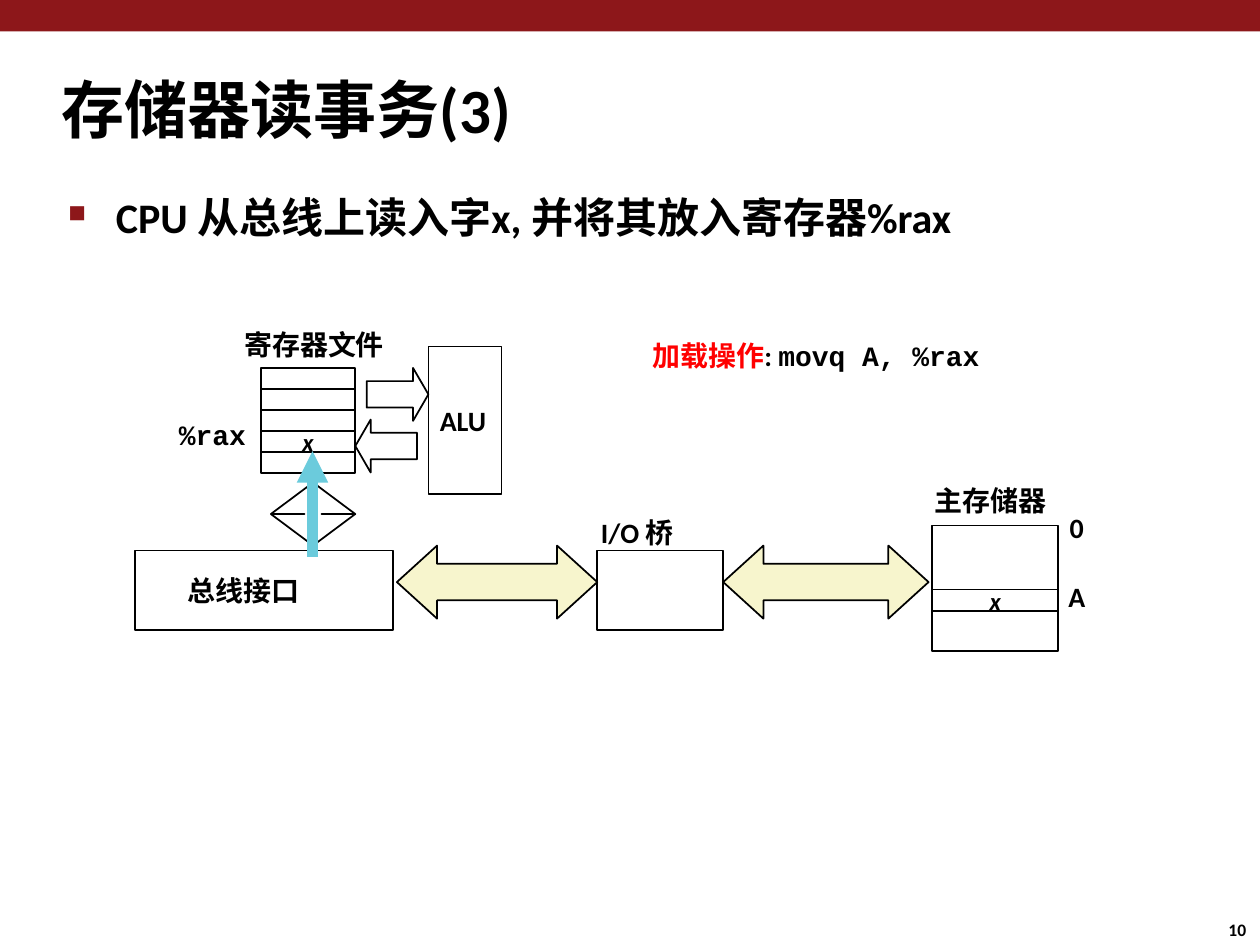
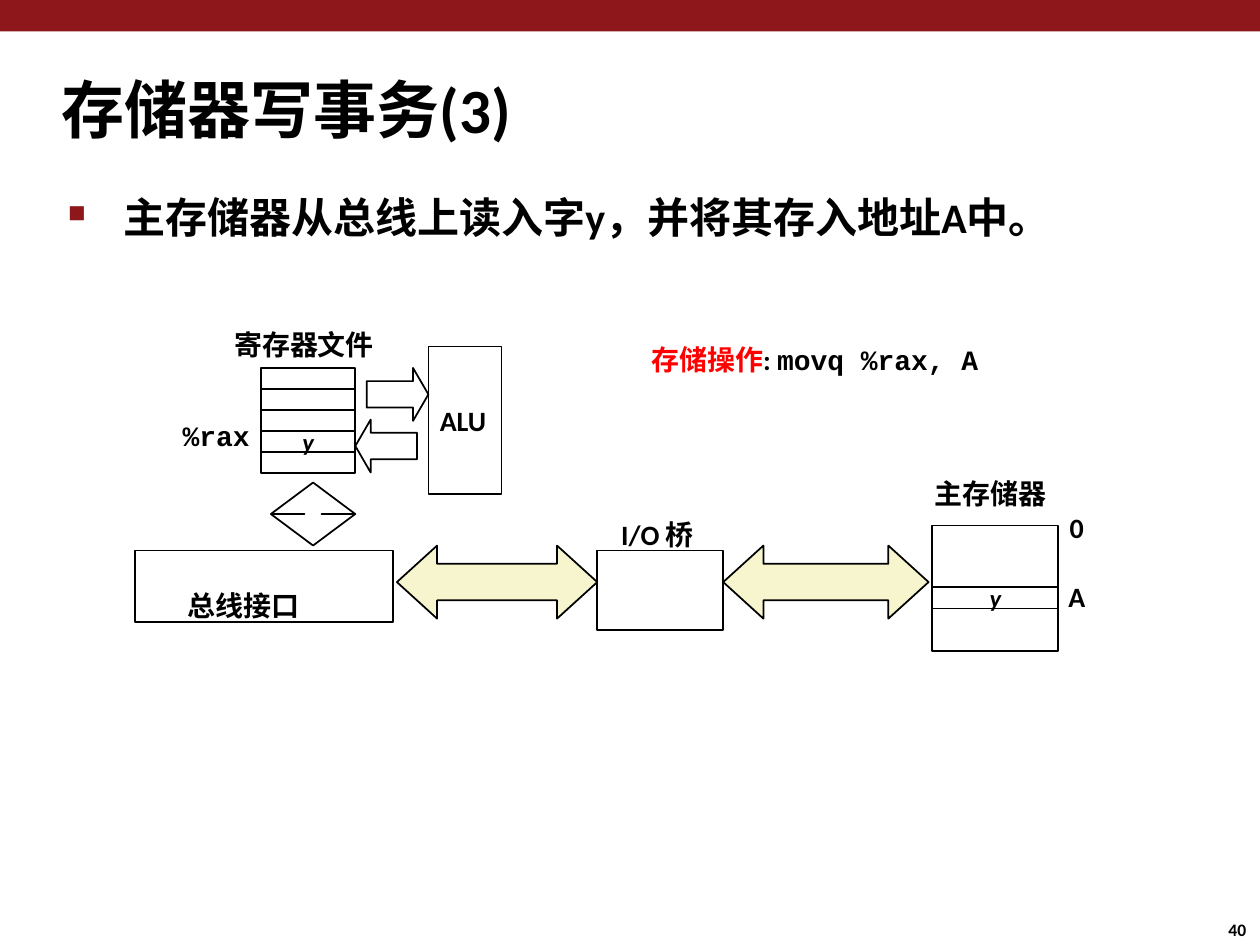
from pptx import Presentation
from pptx.dml.color import RGBColor
from pptx.enum.shapes import MSO_CONNECTOR, MSO_SHAPE
from pptx.enum.text import MSO_ANCHOR, PP_ALIGN
from pptx.oxml.ns import qn
from pptx.util import Inches, Pt
from lxml import etree

COLORS = {"band": "8D171A", "ink": "000000", "bus": "F7F5CD",
          "flow": "6BCBDC", "operation": "FF0000"}
BODY_FONT = "Calibri"
CODE_FONT = "Courier New"
TITLE_ONLY = 5

# What differs between the two transactions
READ = {
    "title": "存储器读事务(3)", "number": "10",
    "bullet": "CPU 从总线上读入字x, 并将其放入寄存器%rax", "bullet_indent": 0.39,
    "word": "x", "word_top": 4.68,
    "operation": "加载操作", "code": "movq A, %rax", "operation_at": (5.17, 2.69),
    "register_file_at": (1.93, 2.6), "rax_at": (1.41, 3.31),
    "bridge_at": (4.76, 4.09), "memory_at": (7.41, 3.84),
    "interface_height": 0.63, "interface_anchor": MSO_ANCHOR.MIDDLE,
}
WRITE = {
    "title": "存储器写事务(3)", "number": "40",
    "bullet": "主存储器从总线上读入字y，并将其存入地址A中。", "bullet_indent": 0.45,
    "word": "y", "word_top": 4.66,
    "operation": "存储操作", "code": "movq %rax, A", "operation_at": (5.16, 2.72),
    "register_file_at": (1.85, 2.6), "rax_at": (1.44, 3.32),
    "bridge_at": (4.92, 4.11), "memory_at": (7.41, 3.78),
    "interface_height": 0.57, "interface_anchor": MSO_ANCHOR.BOTTOM,
}


def color(name):
    return RGBColor.from_string(COLORS[name])


def set_font(font, size, name=BODY_FONT, ink="ink", italic=False):
    font.name = name
    font.size = Pt(size)
    font.bold = True
    font.italic = italic
    font.color.rgb = color(ink)


def set_frame(frame, anchor=MSO_ANCHOR.TOP, left=0.01):
    frame.word_wrap = True
    frame.vertical_anchor = anchor
    frame.margin_left = Inches(left)
    frame.margin_top = frame.margin_right = frame.margin_bottom = 0


def add_label(slide, text, place, width, size=16, font=BODY_FONT):
    height = size / 55
    box = slide.shapes.add_textbox(*map(Inches, (*place, width, height)))
    set_frame(box.text_frame)
    paragraph = box.text_frame.paragraphs[0]
    paragraph.text = text
    set_font(paragraph.font, size, font)
    return paragraph


def add_block(slide, kind, area, fill=None, line="ink", adjustments=()):
    shape = slide.shapes.add_shape(kind, *map(Inches, area))
    shape.shadow.inherit = False
    for index, value in enumerate(adjustments):
        shape.adjustments[index] = value
    if fill:
        shape.fill.solid()
        shape.fill.fore_color.rgb = color(fill)
    else:
        shape.fill.background()
    if line:
        shape.line.color.rgb = color(line)
        shape.line.width = Pt(1)
    else:
        shape.line.fill.background()
    return shape


def add_box(slide, area, text="", size=16, left=0, italic=False,
            align=PP_ALIGN.LEFT, anchor=MSO_ANCHOR.MIDDLE):
    shape = add_block(slide, MSO_SHAPE.RECTANGLE, area)
    if text:
        set_frame(shape.text_frame, anchor, left)
        paragraph = shape.text_frame.paragraphs[0]
        paragraph.text = text
        paragraph.alignment = align
        set_font(paragraph.font, size, italic=italic)


def add_word(slide, area, text):
    add_box(slide, area, text, 14, italic=True, align=PP_ALIGN.CENTER)


def add_flow_arrow(slide, x, start, end):
    arrow = slide.shapes.add_connector(
        MSO_CONNECTOR.STRAIGHT, *map(Inches, (x, start, x, end)))
    arrow.line.color.rgb = color("flow")
    arrow.line.width = Pt(6)
    etree.SubElement(arrow.line._get_or_add_ln(), qn("a:tailEnd"), type="triangle")
    etree.SubElement(arrow._element.spPr, qn("a:effectLst"))


def add_bullet(slide, text, indent):
    paragraph = add_label(slide, text, (0.52, 1.52), 9, 24)
    properties = paragraph._p.get_or_add_pPr()
    properties.set("marL", str(Inches(indent)))
    properties.set("indent", str(-Inches(indent - 0.01)))
    bullet_color = etree.SubElement(properties, qn("a:buClr"))
    etree.SubElement(bullet_color, qn("a:srgbClr"), val=COLORS["band"])
    etree.SubElement(properties, qn("a:buSzPct"), val="58000")
    etree.SubElement(properties, qn("a:buChar"), char="■")


def add_base(presentation, content):
    """Add a slide with its band, title, bullet and number."""
    slide = presentation.slides.add_slide(presentation.slide_layouts[TITLE_ONLY])
    add_block(slide, MSO_SHAPE.RECTANGLE, (0, 0, 10, 0.25), "band", None)

    title = slide.shapes.title
    title.left, title.top, title.width, title.height = map(Inches, (0.48, 0.56, 6.3, 0.6))
    set_frame(title.text_frame)
    paragraph = title.text_frame.paragraphs[0]
    paragraph.text = content["title"]
    paragraph.alignment = PP_ALIGN.LEFT
    set_font(paragraph.font, 36)

    add_bullet(slide, content["bullet"], content["bullet_indent"])
    add_label(slide, content["number"], (9.74, 7.29), 0.2, 10)
    return slide


def add_cpu(slide, content):
    # Register file: five rows, the fourth is %rax
    row_height = 0.5 / 3
    for row in range(5):
        add_word(slide, (2.07, 2.92 + row * row_height, 0.75, row_height),
                 content["word"] if row == 3 else "")
    add_label(slide, "寄存器文件", content["register_file_at"], 1.37)
    add_label(slide, "%rax", content["rax_at"], 0.6, font=CODE_FONT)

    # ALU and its paths
    add_box(slide, (3.4, 2.75, 0.58, 1.17), "ALU", left=0.09)
    add_block(slide, MSO_SHAPE.RIGHT_ARROW, (2.91, 2.92, 0.49, 0.42), adjustments=(0.5, 0.29))
    add_block(slide, MSO_SHAPE.LEFT_ARROW, (2.82, 3.33, 0.49, 0.42), adjustments=(0.5, 0.29))

    # Bus interface
    add_block(slide, MSO_SHAPE.UP_DOWN_ARROW, (2.15, 3.83, 0.67, 0.5), adjustments=(0.5, 0.2))
    add_box(slide, (1.07, 4.37, 2.05, content["interface_height"]), "总线接口",
            left=0.42, anchor=content["interface_anchor"])


def add_memory_system(slide, content):
    # Buses on both sides of the I/O bridge
    for left, width in ((3.15, 1.59), (5.74, 1.63)):
        add_block(slide, MSO_SHAPE.LEFT_RIGHT_ARROW, (left, 4.33, width, 0.58),
                  "bus", adjustments=(0.5, 0.55))
    add_box(slide, (4.74, 4.37, 1, 0.63))
    add_label(slide, "I/O 桥", content["bridge_at"], 0.97)

    # Main memory and its addresses
    add_box(slide, (7.4, 4.17, 1, 1))
    add_word(slide, (7.4, content["word_top"], 1, 0.17), content["word"])
    add_label(slide, "主存储器", content["memory_at"], 1.33)
    add_label(slide, "0", (8.48, 4.05), 0.16)
    add_label(slide, "A", (8.47, 4.6), 0.16)


def add_operation(slide, content):
    paragraph = add_label(slide, "", content["operation_at"], 3.18)
    for text, font, ink in ((content["operation"], BODY_FONT, "operation"),
                            (": ", BODY_FONT, "ink"),
                            (content["code"], CODE_FONT, "ink")):
        run = paragraph.add_run()
        run.text = text
        set_font(run.font, 16, font, ink)


def add_transaction(presentation, content):
    slide = add_base(presentation, content)
    add_cpu(slide, content)
    add_memory_system(slide, content)
    add_operation(slide, content)
    return slide


def main():
    presentation = Presentation()
    presentation.slide_width = Inches(10)
    presentation.slide_height = Inches(7.5)

    read_slide = add_transaction(presentation, READ)
    add_flow_arrow(read_slide, 2.48, 4.42, 3.58)
    add_transaction(presentation, WRITE)

    presentation.save("out.pptx")


if __name__ == "__main__":
    main()
